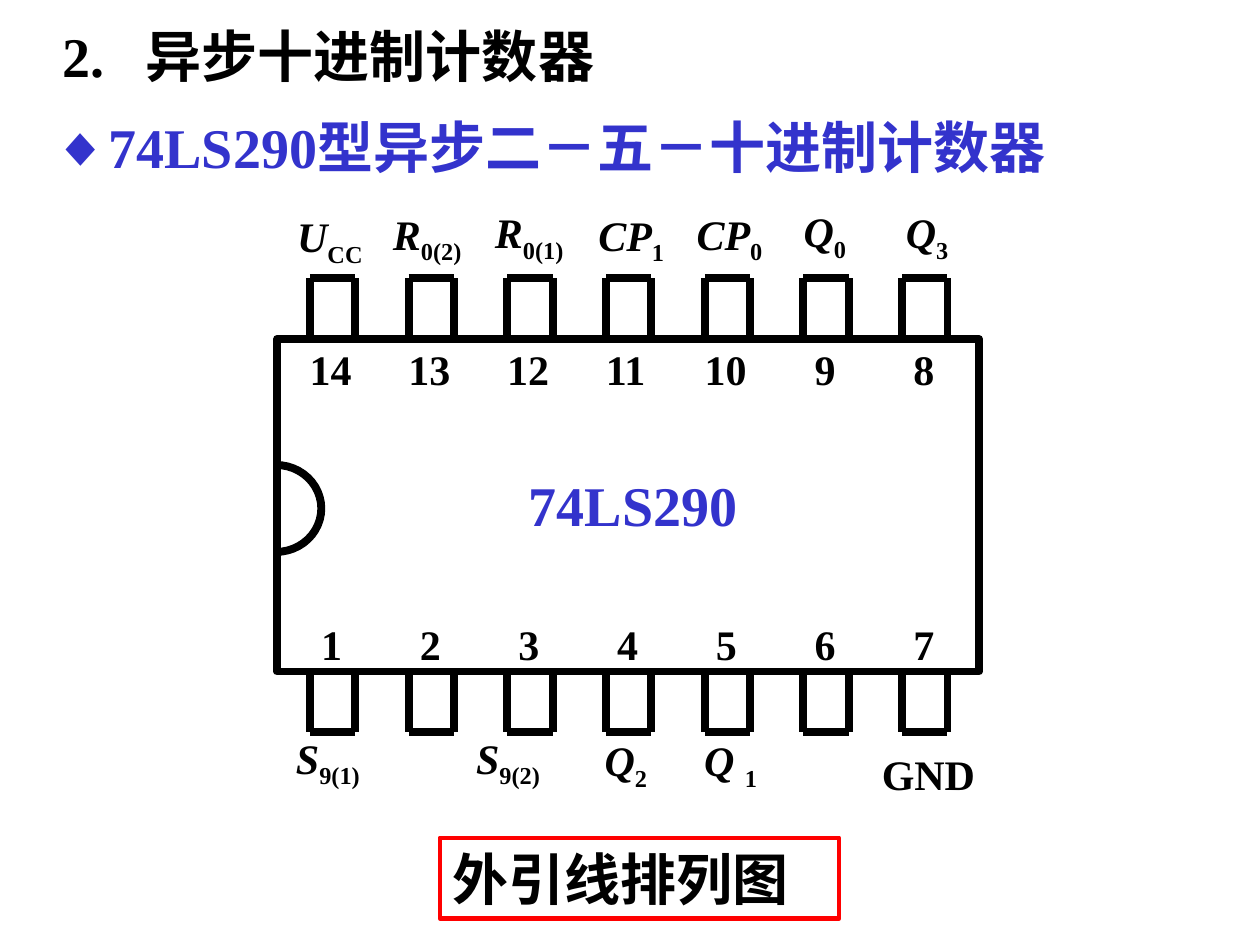
"""Build a slide showing the pin layout of the 74LS290 counter."""
from lxml import etree
from pptx import Presentation
from pptx.dml.color import RGBColor
from pptx.enum.shapes import MSO_CONNECTOR, MSO_SHAPE
from pptx.enum.text import MSO_ANCHOR
from pptx.oxml.ns import qn
from pptx.util import Inches, Pt

STRAIGHT = MSO_CONNECTOR.STRAIGHT
RECTANGLE = MSO_SHAPE.RECTANGLE
ARC = MSO_SHAPE.ARC
TOP = MSO_ANCHOR.TOP
MIDDLE = MSO_ANCHOR.MIDDLE

BLACK, BLUE, RED = "000000", "3333CC", "FF0000"
FONT = "Times New Roman"
HEADINGS = [
    ("2.\t异步十进制计数器", (0.4, 0.12, 5.16, 0.64), BLACK),
    ("◆74LS290型异步二－五－十进制计数器", (0.32, 0.84, 8.23, 0.64), BLUE),
]
HEADING_TAB = 0.66
CHIP_NAME = ("74LS290", (4.1, 3.68, 2.36, 0.64))
CAPTION = ("外引线排列图", (3.49, 6.65, 3.17, 0.64))
SIGNALS = [
    ("U", "CC", 2.26, 1.62), ("R", "0(2)", 3.02, 1.6), ("R", "0(1)", 3.83, 1.59),
    ("CP", "1", 4.65, 1.61), ("CP", "0", 5.43, 1.6), ("Q", "0", 6.28, 1.58),
    ("Q", "3", 7.09, 1.59), ("S", "9(1)", 2.25, 5.76), ("S", "9(2)", 3.68, 5.76),
    ("Q", "2", 4.7, 5.78), ("Q ", "1", 5.49, 5.78),
]
GROUND = ("GND", (6.9, 5.89, 1.17, 0.5))

CHIP = (2.2, 2.69, 5.57, 2.64)
NOTCH = (1.83, 3.69, 0.72, 0.69)
PIN_ROWS = [
    {"numbers": range(14, 7, -1), "number_top": 2.68, "base": 2.7, "tip": 2.21},
    {"numbers": range(1, 8), "number_top": 4.86, "base": 5.34, "tip": 5.81},
]
FIRST_PIN, LAST_PIN, PIN_WIDTH = 2.46, 7.16, 0.36


def color(value):
    return RGBColor.from_string(value)


def add_run(paragraph, text, **changes):
    run = paragraph.add_run()
    run.text = text
    values = {"name": FONT, "size": Pt(24), "bold": True, "italic": False} | changes
    font_color = values.pop("rgb", BLACK)
    for attribute, value in values.items():
        setattr(run.font, attribute, value)
    run.font.color.rgb = color(font_color)
    return run


def prepare_frame(shape, anchor=MIDDLE):
    frame = shape.text_frame
    frame.word_wrap = True
    frame.vertical_anchor = anchor
    return frame.paragraphs[0]


def add_text(slide, text, box, anchor=MIDDLE, **changes):
    shape = slide.shapes.add_textbox(*map(Inches, box))
    paragraph = prepare_frame(shape, anchor)
    add_run(paragraph, text, **changes)
    return paragraph


def add_outline(slide, kind, box, line_color, width):
    shape = slide.shapes.add_shape(kind, *map(Inches, box))
    shape.shadow.inherit = False
    shape.fill.background()
    shape.line.color.rgb = color(line_color)
    shape.line.width = Pt(width)
    return shape


def add_line(slide, start, end):
    line = slide.shapes.add_connector(STRAIGHT, *map(Inches, start + end))
    line.line.color.rgb = color(BLACK)
    line.line.width = Pt(4.5)
    etree.SubElement(line._element.spPr, qn("a:effectLst"))


def add_pin(slide, left, base, tip):
    right = left + PIN_WIDTH
    corners = [(left, base), (left, tip), (right, tip), (right, base)]
    for start, end in zip(corners, corners[1:]):
        add_line(slide, start, end)


def add_tab(paragraph, position):
    tabs = etree.SubElement(paragraph._p.get_or_add_pPr(), qn("a:tabLst"))
    etree.SubElement(tabs, qn("a:tab"), pos=str(Inches(position)), algn="l")


def main():
    presentation = Presentation()
    presentation.slide_width, presentation.slide_height = Inches(10), Inches(7.5)
    slide = presentation.slides.add_slide(presentation.slide_layouts[6])

    for text, box, text_color in HEADINGS:
        paragraph = add_text(slide, text, box, TOP, size=Pt(32), rgb=text_color)
        if "\t" in text:
            add_tab(paragraph, HEADING_TAB)

    add_outline(slide, RECTANGLE, CHIP, BLACK, 4.5)
    notch = add_outline(slide, ARC, NOTCH, BLACK, 4.5)
    notch.adjustments[0], notch.adjustments[1] = 162, 54
    name, box = CHIP_NAME
    add_text(slide, name, box, size=Pt(32), rgb=BLUE)

    for row in PIN_ROWS:
        pitch = (LAST_PIN - FIRST_PIN) / (len(row["numbers"]) - 1)
        for index, number in enumerate(row["numbers"]):
            left = FIRST_PIN + index * pitch
            add_pin(slide, left, row["base"], row["tip"])
            shift, width = (0.1, 0.57) if number > 9 else (0.01, 0.47)
            add_text(slide, str(number), (left - shift, row["number_top"], width, 0.5))

    for letter, subscript, left, top in SIGNALS:
        paragraph = add_text(slide, letter, (left, top, 0.95, 0.56), italic=True)
        run = add_run(paragraph, subscript)
        run.font._element.set("baseline", "-25000")
    add_text(slide, *GROUND)

    text, box = CAPTION
    caption = add_outline(slide, RECTANGLE, box, RED, 2.5)
    paragraph = prepare_frame(caption)
    paragraph.alignment = 1
    add_run(paragraph, text, size=Pt(32))
    presentation.save("out.pptx")


if __name__ == "__main__":
    main()
